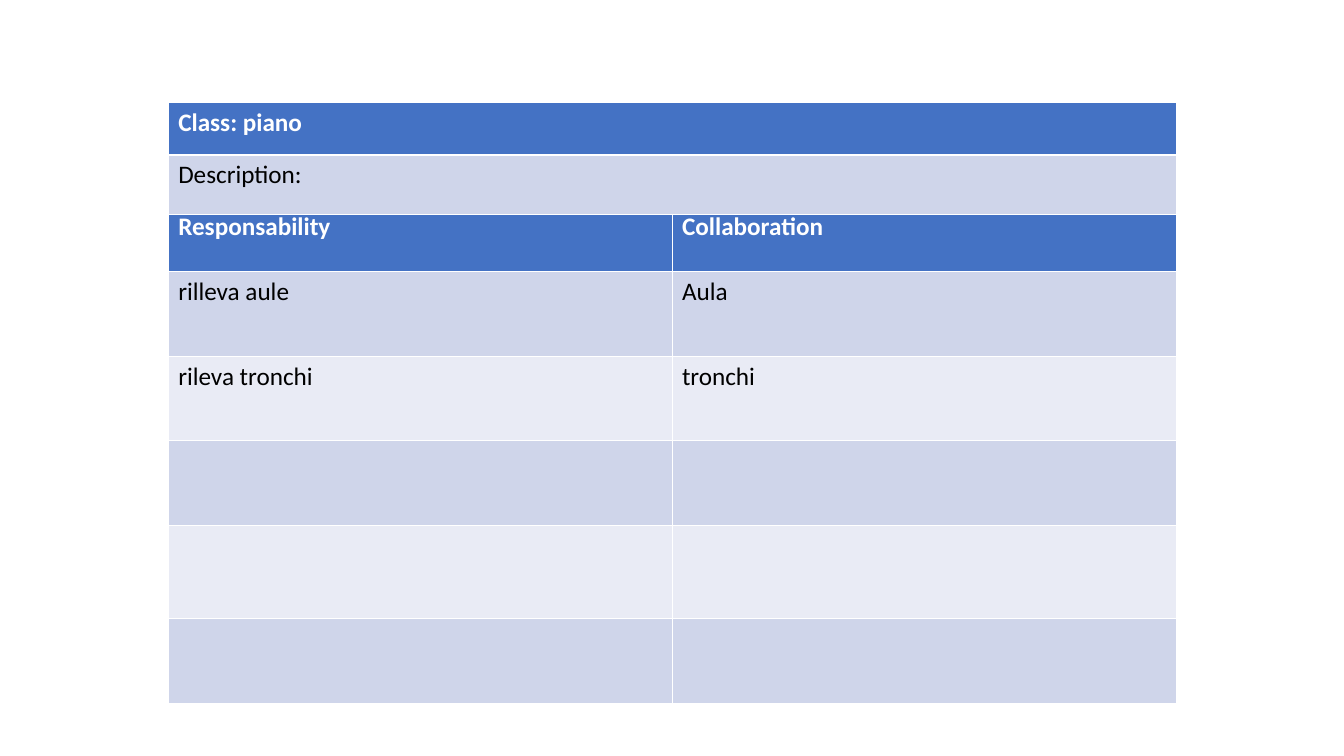
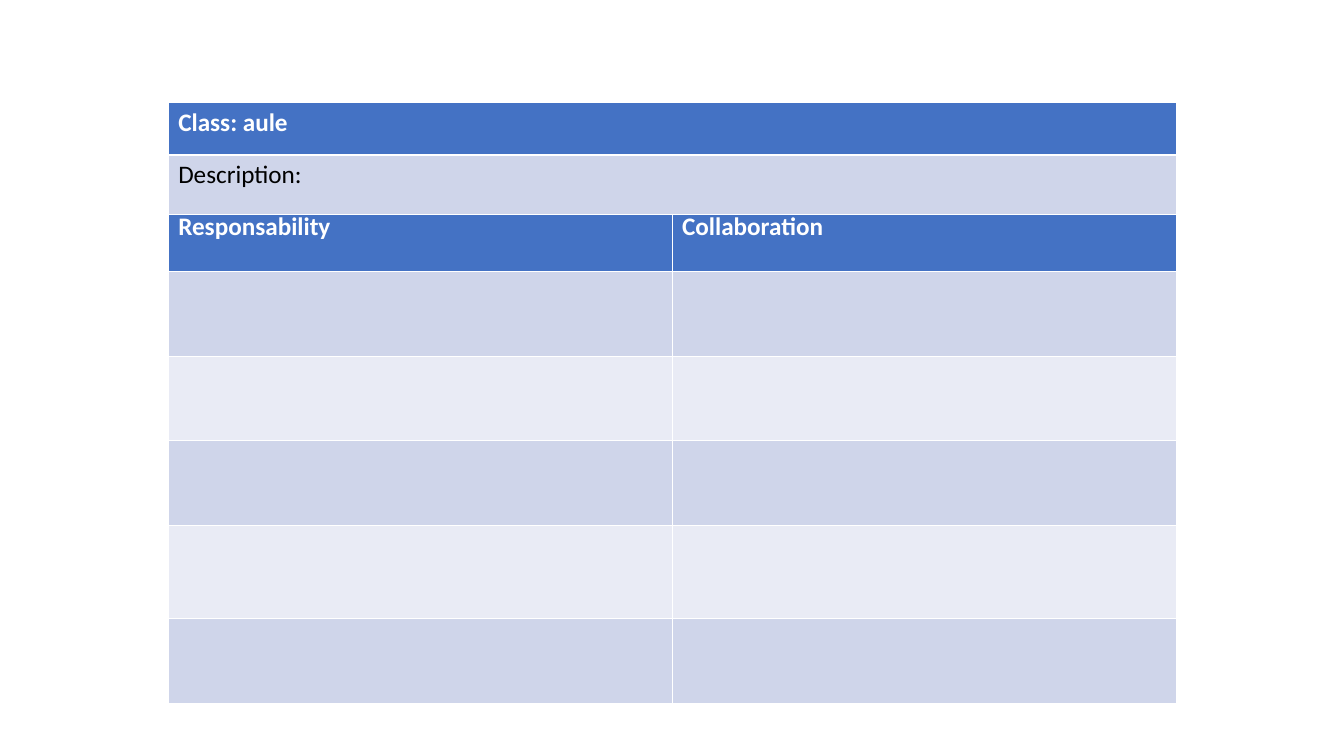
import pptx
import pptx.dml.color
import pptx.oxml.ns
import pptx.util
from lxml import etree

Cm, Pt = pptx.util.Cm, pptx.util.Pt
RGBColor = pptx.dml.color.RGBColor

# Content: one card per slide
HEADINGS = ("Responsability", "Collaboration")
CARDS = [
    ("piano", [("rilleva aule", "Aula"), ("rileva tronchi", "tronchi")]),
    ("aule", []),
]

# Shared look
FONT = "Calibri"
SIZE = Pt(18)
WHITE = RGBColor(0xFF, 0xFF, 0xFF)
BLACK = RGBColor(0x00, 0x00, 0x00)
HEADER_BLUE = RGBColor(0x44, 0x72, 0xC4)
BANDS = (RGBColor(0xE9, 0xEB, 0xF5), RGBColor(0xCF, 0xD5, 0xEA))
THIN, THICK = Pt(0.45), Pt(1.47)

# Layout, in centimetres
LEFT, WIDTH = 4.24, 25.4
CLASS_TOP, CLASS_ROWS = 2.57, (1.33, 1.49)
DUTIES_TOP, DUTIES_ROWS = 5.21, (1.63, 2.13, 2.13, 2.13, 2.36, 2.13)


def set_border(cell, side, width):
    ns = pptx.oxml.ns.qn
    ln = etree.SubElement(cell._tc.get_or_add_tcPr(), ns("a:ln" + side), w=str(int(width)))
    fill = etree.SubElement(ln, ns("a:solidFill"))
    etree.SubElement(fill, ns("a:srgbClr"), val=str(WHITE))


def style_cell(cell, text, row):
    header = row == 0
    # Thick rule between the header and the first body row
    widths = {"L": THIN, "R": THIN,
              "T": THICK if row == 1 else THIN,
              "B": THICK if header else THIN}
    for side, width in widths.items():
        set_border(cell, side, width)
    cell.fill.solid()
    cell.fill.fore_color.rgb = HEADER_BLUE if header else BANDS[row % 2]
    if text:
        r = cell.text_frame.paragraphs[0].add_run()
        r.text = text
        r.font.name = FONT
        r.font.size = SIZE
        r.font.bold = header
        r.font.color.rgb = WHITE if header else BLACK


def add_grid(slide, top, heights, columns, rows):
    """Add a table; rows beyond the given text stay empty."""
    table = slide.shapes.add_table(len(heights), columns, Cm(LEFT), Cm(top),
                                   Cm(WIDTH), Cm(sum(heights))).table
    table.horz_banding = False
    for column in table.columns:
        column.width = Cm(WIDTH / columns)
    for i, height in enumerate(heights):
        table.rows[i].height = Cm(height)
        texts = rows[i] if i < len(rows) else [""] * columns
        for j, text in enumerate(texts):
            style_cell(table.cell(i, j), text, i)


def main():
    prs = pptx.Presentation()
    prs.slide_width, prs.slide_height = Cm(33.88), Cm(19.05)
    for name, duties in CARDS:
        s = prs.slides.add_slide(prs.slide_layouts[6])
        # The class table overlaps the top of the duties table
        add_grid(s, DUTIES_TOP, DUTIES_ROWS, 2, [HEADINGS] + duties)
        add_grid(s, CLASS_TOP, CLASS_ROWS, 1, [("Class: " + name,), ("Description:",)])
    prs.save("out.pptx")


if __name__ == "__main__":
    main()
